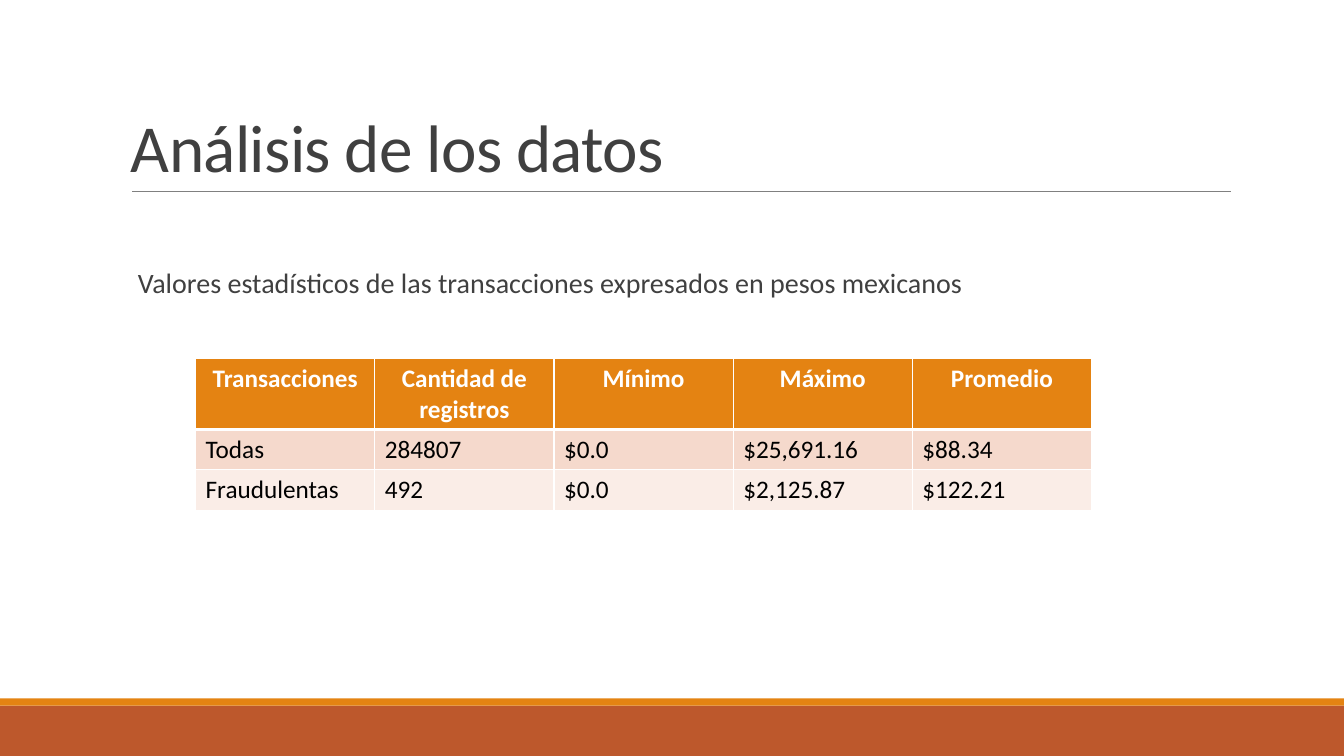
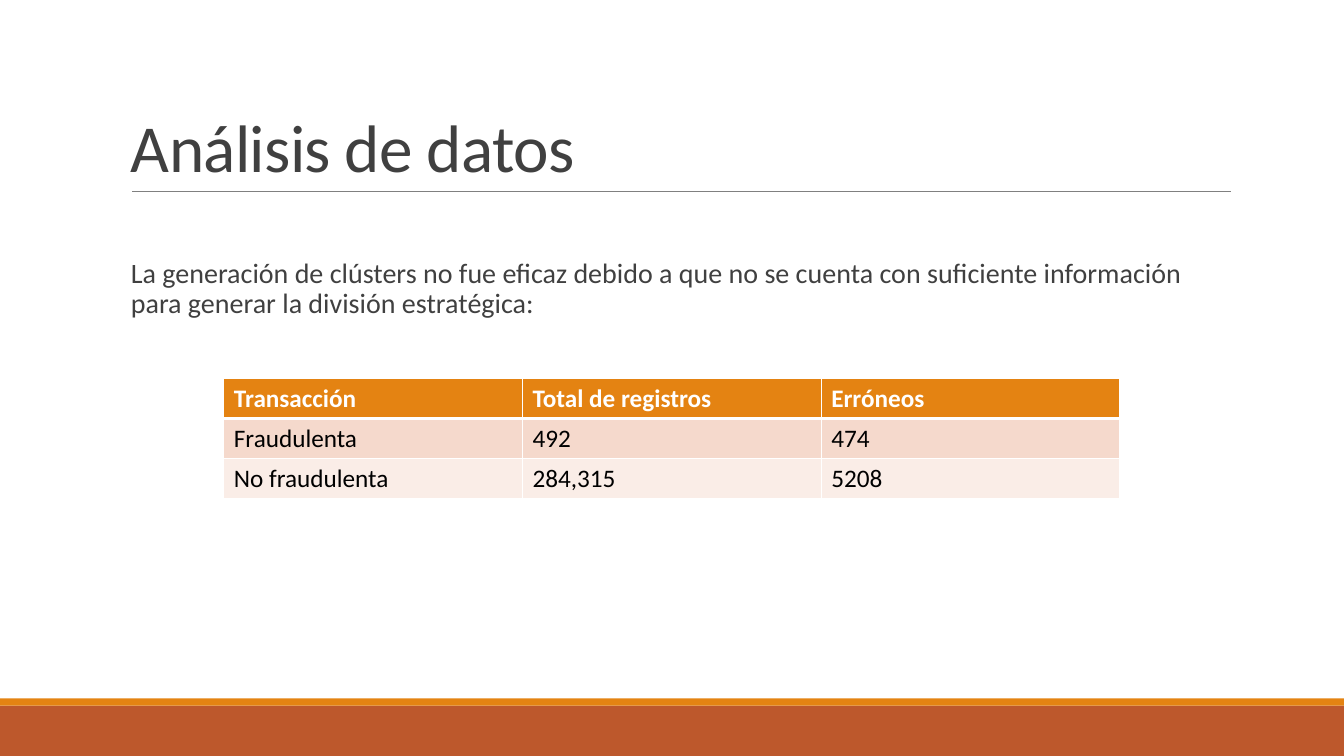
from dataclasses import dataclass

from lxml import etree
from pptx import Presentation
from pptx.dml.color import RGBColor
from pptx.enum.shapes import MSO_CONNECTOR, MSO_SHAPE
from pptx.enum.text import MSO_ANCHOR, PP_ALIGN
from pptx.oxml.ns import qn
from pptx.util import Inches, Pt

RECT = MSO_SHAPE.RECTANGLE
STRAIGHT = MSO_CONNECTOR.STRAIGHT
TOP, BOTTOM = MSO_ANCHOR.TOP, MSO_ANCHOR.BOTTOM
LEFT, CENTER = PP_ALIGN.LEFT, PP_ALIGN.CENTER

SLIDES = [
    {
        "title": "Análisis de los datos",
        "body": "Valores estadísticos de las transacciones expresados en pesos mexicanos",
        "body_at": (1.27, 2.62),
        "table_at": (1.94, 3.56),
        "header_height": 0.7,
        "header_align": CENTER,
        "rows": [
            ("Transacciones", "Cantidad de registros", "Mínimo", "Máximo", "Promedio"),
            ("Todas", "284807", "$0.0", "$25,691.16", "$88.34"),
            ("Fraudulentas", "492", "$0.0", "$2,125.87", "$122.21"),
        ],
    },
    {
        "title": "Análisis de datos",
        "body": "La generación de clústers no fue eficaz debido a que no se cuenta con "
                "suficiente información para generar la división estratégica:",
        "body_at": (1.2, 2.52),
        "table_at": (2.22, 3.75),
        "header_height": 0.4,
        "header_align": LEFT,
        "rows": [
            ("Transacción", "Total de registros", "Erróneos"),
            ("Fraudulenta", "492", "474"),
            ("No fraudulenta", "284,315", "5208"),
        ],
    },
]


@dataclass(frozen=True)
class Theme:
    font: str = "Calibri"
    title_size: int = 48
    body_size: int = 20
    cell_size: int = 18
    text: str = "404040"
    rule: str = "808080"
    accent: str = "E48312"
    footer: str = "BD582C"
    white: str = "FFFFFF"
    black: str = "000000"
    stripes: tuple = ("F5D9CC", "FAEDE7")


T = Theme()
W, H = 13.33, 7.5
TEXT_W = 11
FOOTER_H, STRIPE_H = 0.5, 0.07
TABLE_W = W * 2 / 3
ROW_H = 0.4
THIN, THICK = 1, 3


def rgb(color):
    return RGBColor.from_string(color)


def write(tf, text, *, size, color, bold=False, align=LEFT, leading=1.0, tracking=0):
    p = tf.paragraphs[0]
    p.alignment = align
    p.line_spacing = leading
    r = p.add_run()
    r.text = text
    r.font.name = T.font
    r.font.size = Pt(size)
    r.font.bold = bold
    r.font.color.rgb = rgb(color)
    if tracking:
        r._r.get_or_add_rPr().set("spc", str(int(tracking * 100)))


def add_text(s, text, left, top, height, anchor=TOP, **fmt):
    sp = s.shapes.add_textbox(Inches(left), Inches(top), Inches(TEXT_W), Inches(height))
    tf = sp.text_frame
    tf.word_wrap = True
    tf.vertical_anchor = anchor
    write(tf, text, color=T.text, **fmt)


def add_band(s, top, height, color):
    sp = s.shapes.add_shape(RECT, 0, Inches(top), Inches(W), Inches(height))
    sp.shadow.inherit = False
    sp.fill.solid()
    sp.fill.fore_color.rgb = rgb(color)
    sp.line.fill.background()


def add_frame(s, title):
    add_band(s, H - FOOTER_H, FOOTER_H, T.footer)
    add_band(s, H - FOOTER_H - STRIPE_H, STRIPE_H, T.accent)
    rule = s.shapes.add_connector(STRAIGHT, Inches(1.31), Inches(1.9), Inches(12.21), Inches(1.9))
    rule.line.color.rgb = rgb(T.rule)
    rule.line.width = Pt(0.5)
    etree.SubElement(rule._element.spPr, qn("a:effectLst"))
    add_text(s, title, 1.2, 0.31, 1.59, BOTTOM,
             size=T.title_size, leading=0.85, tracking=-0.5)


def set_borders(cell, top, bottom):
    tcPr = cell._tc.get_or_add_tcPr()
    edges = {"a:lnL": THIN, "a:lnR": THIN, "a:lnT": top, "a:lnB": bottom}
    for i, (tag, width) in enumerate(edges.items()):
        ln = etree.Element(qn(tag), w=str(Pt(width)))
        fill = etree.SubElement(ln, qn("a:solidFill"))
        etree.SubElement(fill, qn("a:srgbClr"), val=T.white)
        tcPr.insert(i, ln)


def add_table(s, rows, at, header_height, header_align):
    left, top = at
    n_cols = len(rows[0])
    heights = [header_height] + [ROW_H] * (len(rows) - 1)
    table = s.shapes.add_table(len(rows), n_cols, Inches(left), Inches(top),
                               Inches(TABLE_W), Inches(sum(heights))).table
    for col in table.columns:
        col.width = Inches(TABLE_W / n_cols)
    for i, values in enumerate(rows):
        table.rows[i].height = Inches(heights[i])
        header = i == 0
        fill = T.accent if header else T.stripes[(i - 1) % 2]
        for j, value in enumerate(values):
            cell = table.cell(i, j)
            cell.fill.solid()
            cell.fill.fore_color.rgb = rgb(fill)
            set_borders(cell, THICK if i == 1 else THIN, THICK if header else THIN)
            write(cell.text_frame, value, size=T.cell_size, bold=header,
                  color=T.white if header else T.black,
                  align=header_align if header else LEFT)


def main():
    prs = Presentation()
    prs.slide_width, prs.slide_height = Inches(W), Inches(H)
    for item in SLIDES:
        s = prs.slides.add_slide(prs.slide_layouts[6])
        add_frame(s, item["title"])
        add_text(s, item["body"], *item["body_at"], 0.9, size=T.body_size, leading=0.9)
        add_table(s, item["rows"], item["table_at"], item["header_height"], item["header_align"])
    prs.save("out.pptx")


if __name__ == "__main__":
    main()
